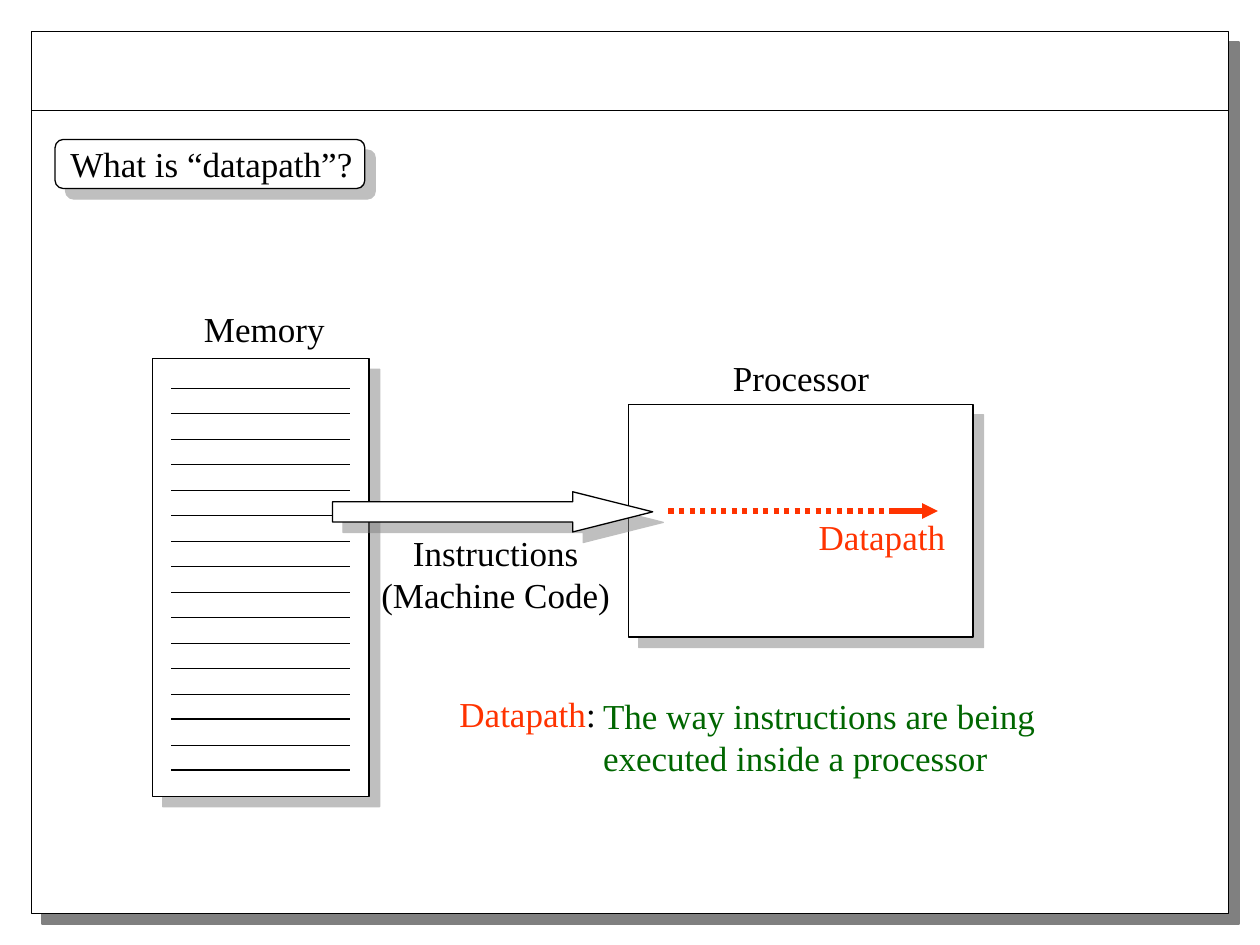
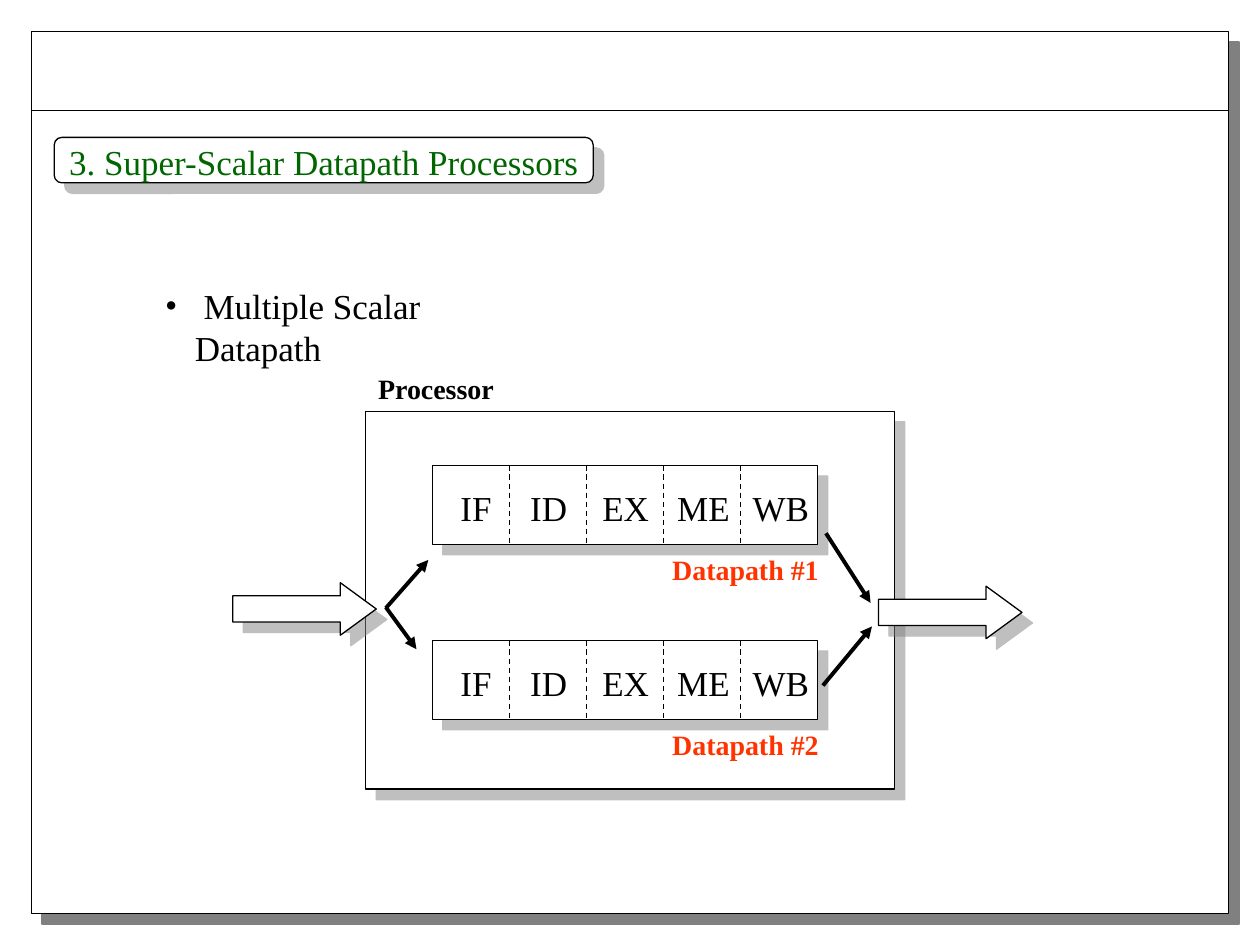
from lxml.etree import SubElement
from pptx import Presentation
from pptx.dml.color import RGBColor
from pptx.enum.dml import MSO_LINE
from pptx.enum.shapes import MSO_CONNECTOR, MSO_SHAPE
from pptx.enum.text import MSO_ANCHOR, MSO_AUTO_SIZE, PP_ALIGN
from pptx.oxml.ns import qn
from pptx.util import Pt

# Content: all places and sizes are points
COLORS = {"black": "000000", "white": "FFFFFF", "gray": "808080",
          "red": "FF3300", "green": "006600"}
FONT = "Times New Roman"
FRAME = (18, 18, 684, 504)
RULE_Y = 63

DATAPATH_HEADING = dict(text="What is “datapath”?", color="black",
                        plate=(31.5, 79.75, 177, 28), at=(33, 77.75, 176, 31.75))
SCALAR_HEADING = dict(text="3. Super-Scalar Datapath Processors", color="green",
                      plate=(31, 78.5, 308, 26), at=(32.25, 76.5, 306, 31.75))

MEMORY = (87, 205, 124, 250)
MEMORY_ROWS = dict(left=98, right=200, top=222, pairs=8, pitch=29.14, gap=14.1)
DEFINITION = "The way instructions are being\nexecuted inside a processor"

PIPELINE_SIZE = (220, 45)
PIPELINES = [("Datapath #1", 247, 266), ("Datapath #2", 247, 366)]
STAGES = [("IF", 25), ("ID", 66.5), ("EX", 110.5), ("ME", 155), ("WB", 199.25)]
FLOW_ARROWS = [(133, 333, 82, 30), (502, 335, 82, 30)]
BRANCHES = [((220.5, 347.5), (244.75, 320)), ((220.5, 347), (238, 371)),
            ((472, 304.75), (497.5, 344.5)), ((470.25, 391.75), (498.25, 358))]


# Drawing helpers
def rgb(name):
    return RGBColor.from_string(COLORS[name])


def write(box, text, size=20, color="black", bold=False, align=PP_ALIGN.LEFT,
          wrap=False):
    """Fill a box; text is a string or a list of (text, color) spans."""
    frame = box.text_frame
    frame.word_wrap = wrap
    frame.auto_size = MSO_AUTO_SIZE.SHAPE_TO_FIT_TEXT
    frame.vertical_anchor = MSO_ANCHOR.TOP
    if not wrap:  # free the insets so that a line never breaks
        frame.margin_right = 0
        if align == PP_ALIGN.CENTER:
            frame.margin_left = 0
    spans = [(text, color)] if isinstance(text, str) else text
    para = frame.paragraphs[0]
    para.alignment = align
    for words, tint in spans:
        for number, line in enumerate(words.split("\n")):
            if number:
                para = frame.add_paragraph()
                para.alignment = align
            span = para.add_run()
            span.text = line
            span.font.name = FONT
            span.font.size = Pt(size)
            span.font.bold = bold
            span.font.color.rgb = rgb(tint)
    return box


def add_text(shapes, at, text, **style):
    return write(shapes.add_textbox(*map(Pt, at)), text, **style)


def add_panel(shapes, at, kind=MSO_SHAPE.RECTANGLE, adjust=(), shadow_alpha=50):
    panel = shapes.add_shape(kind, *map(Pt, at))
    for index, value in enumerate(adjust):
        panel.adjustments[index] = value
    panel.fill.solid()
    panel.fill.fore_color.rgb = rgb("white")
    panel.line.color.rgb = rgb("black")
    panel.line.width = Pt(0.75)
    panel.shadow.inherit = False
    effects = panel.element.spPr.find(qn("a:effectLst"))
    shadow = SubElement(effects, qn("a:outerShdw"), dist=str(Pt(8.5)),
                        dir="2700000", algn="ctr", rotWithShape="0")
    tint = SubElement(shadow, qn("a:srgbClr"), val=COLORS["gray"])
    SubElement(tint, qn("a:alpha"), val=str(shadow_alpha * 1000))
    return panel


def add_line(shapes, start, end, color="black", width=0.75, dash=None, arrow=False):
    line = shapes.add_connector(MSO_CONNECTOR.STRAIGHT, *map(Pt, (*start, *end)))
    line.line.color.rgb = rgb(color)
    line.line.width = Pt(width)
    if dash:
        line.line.dash_style = dash
    properties = line.element.spPr
    if arrow:
        SubElement(properties.find(qn("a:ln")), qn("a:tailEnd"), type="triangle")
    SubElement(properties, qn("a:effectLst"))


def add_page(deck, heading):
    """Start a slide with the shared frame, rule and heading plate."""
    page = deck.slides.add_slide(deck.slide_layouts[5])
    left, _, width, _ = FRAME
    add_panel(page.shapes, FRAME, shadow_alpha=100)
    add_line(page.shapes, (left, RULE_Y), (left + width, RULE_Y))
    add_panel(page.shapes, heading["plate"], MSO_SHAPE.ROUNDED_RECTANGLE, (0.167,))
    title = page.shapes.title
    title.left, title.top, title.width, title.height = map(Pt, heading["at"])
    write(title, heading["text"], color=heading["color"])
    title.element.getparent().append(title.element)  # in front of its plate
    return page


# Slide parts
def add_memory(shapes):
    add_panel(shapes, MEMORY)
    rows = MEMORY_ROWS
    for pair in range(rows["pairs"]):
        for offset in (0, rows["gap"]):
            y = rows["top"] + pair * rows["pitch"] + offset
            add_line(shapes, (rows["left"], y), (rows["right"], y))
    add_text(shapes, (109.5, 172, 83.5, 31.75), "Memory")


def add_pipeline(shapes, name, left, top):
    width, height = PIPELINE_SIZE
    add_panel(shapes, (left, top, width, height))
    for number, (stage, center) in enumerate(STAGES):
        if number:
            x = left + number * width / len(STAGES)
            add_line(shapes, (x, top), (x, top + height), dash=MSO_LINE.DASH)
        add_text(shapes, (left + center - 23, top + 8.5, 46, 31.75), stage,
                 align=PP_ALIGN.CENTER)
    add_text(shapes, (left + 130, top + 46, 98, 26.5), name,
             size=16, color="red", bold=True)


def build_datapath(deck):
    shapes = add_page(deck, DATAPATH_HEADING).shapes
    add_panel(shapes, (359, 231, 197, 133))
    add_text(shapes, (411.75, 200, 92, 31.75), "Processor")
    add_memory(shapes.add_group_shape().shapes)

    # Instructions flow from memory into the processor
    add_panel(shapes, (190, 281, 183, 23), MSO_SHAPE.RIGHT_ARROW, (0.5, 1.99))
    add_text(shapes, (211, 300.25, 144.5, 55.5), "Instructions\n(Machine Code)",
             align=PP_ALIGN.CENTER)
    y = 292
    add_line(shapes, (382, y), (512, y), "red", 3, dash=MSO_LINE.ROUND_DOT)
    add_line(shapes, (509, y), (536, y), "red", 3, arrow=True)
    add_text(shapes, (460.75, 291, 86.5, 31.75), "Datapath", color="red")

    # Definition
    add_text(shapes, (255.5, 392.25, 92, 31.75), [("Datapath", "red"), (":", "black")])
    add_text(shapes, (337.5, 393.25, 261.5, 55.5), DEFINITION, color="green")


def build_super_scalar(deck):
    shapes = add_page(deck, SCALAR_HEADING).shapes
    bullet_box = add_text(shapes, (87.25, 159, 227.5, 55.5), " Multiple Scalar Datapath",
                          wrap=True)
    properties = bullet_box.text_frame.paragraphs[0]._p.get_or_add_pPr()
    properties.set("marL", str(Pt(17)))
    properties.set("indent", str(Pt(-17)))
    SubElement(properties, qn("a:buFont"), typeface=FONT)
    SubElement(properties, qn("a:buChar"), char="•")

    add_panel(shapes, (209, 235, 302, 216))
    add_text(shapes, (209, 209, 80.5, 26.5), "Processor", size=16, bold=True)
    for pipeline in PIPELINES:
        add_pipeline(shapes.add_group_shape().shapes, *pipeline)
    for at in FLOW_ARROWS:
        add_panel(shapes, at, MSO_SHAPE.RIGHT_ARROW, (0.5, 0.684))
    for start, end in BRANCHES:
        add_line(shapes, start, end, width=2.25, arrow=True)


def main():
    deck = Presentation()
    deck.slide_width, deck.slide_height = Pt(720), Pt(540)
    build_datapath(deck)
    build_super_scalar(deck)
    deck.save("out.pptx")


if __name__ == "__main__":
    main()
